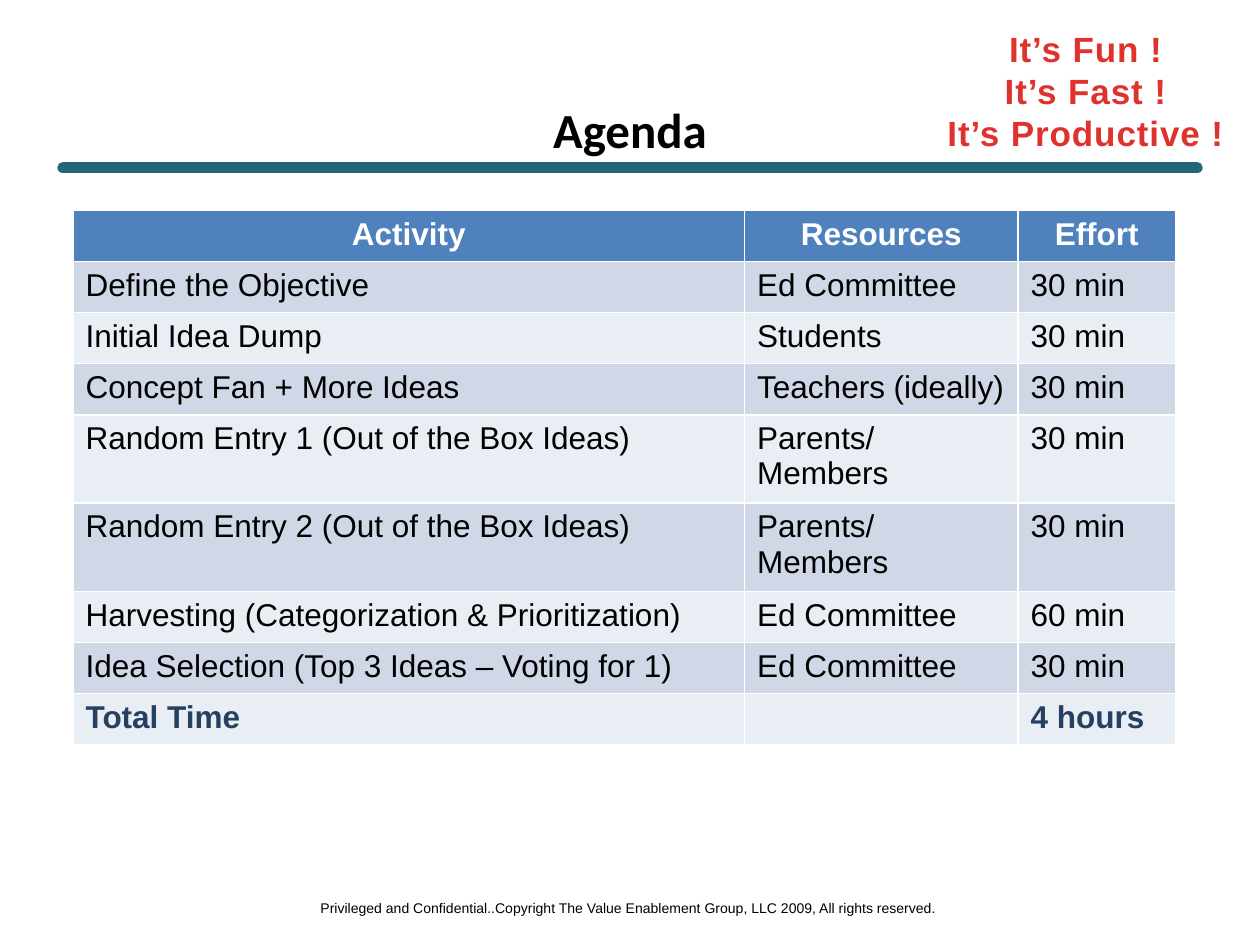
import pptx
import pptx.dml.color
import pptx.enum.shapes
import pptx.enum.text
import pptx.oxml
import pptx.oxml.ns
import pptx.util
from pptx.util import Inches

ALIGN = pptx.enum.text.PP_ALIGN
ANCHOR = pptx.enum.text.MSO_ANCHOR

HEADER = ("Activity", "Resources", "Effort")
AGENDA = [
    ("Define the Objective", "Ed Committee", "30 min"),
    ("Initial Idea Dump", "Students", "30 min"),
    ("Concept Fan + More Ideas", "Teachers (ideally)", "30 min"),
    ("Random Entry 1 (Out of the Box Ideas)", "Parents/Members", "30 min"),
    ("Random Entry 2 (Out of the Box Ideas)", "Parents/Members", "30 min"),
    ("Harvesting (Categorization & Prioritization)", "Ed Committee", "60 min"),
    ("Idea Selection (Top 3 Ideas – Voting for 1)", "Ed Committee", "30 min"),
]
TOTAL = ("Total Time", "", "4 hours")
COL_WIDTHS = (5.33, 2.17, 1.25)


def rgb(color):
    return pptx.dml.color.RGBColor.from_string(color)


def write(p, text, size, color, bold=False, font="Arial", align=ALIGN.CENTER, spacing=None):
    p.alignment = align
    r = p.add_run()
    r.text = text
    for name, value in {"size": pptx.util.Pt(size), "bold": bold, "name": font}.items():
        setattr(r.font, name, value)
    r.font.color.rgb = rgb(color)
    if spacing:
        r.font._element.set("spc", str(int(spacing * 100)))


def add_text(s, box, lines, wrap=False, anchor=ANCHOR.TOP, **style):
    tf = s.shapes.add_textbox(*map(Inches, box)).text_frame
    tf.word_wrap = wrap
    tf.vertical_anchor = anchor
    for i, line in enumerate(lines):
        p = tf.add_paragraph() if i else tf.paragraphs[0]
        write(p, line, **style)


def add_rule(s, left, top, width):
    """Thick round-ended line under the title."""
    sp = s.shapes.add_connector(
        pptx.enum.shapes.MSO_CONNECTOR.STRAIGHT,
        Inches(left), Inches(top), Inches(left + width), Inches(top))
    sp.line.color.rgb = rgb("216778")
    sp.line.width = pptx.util.Pt(6.5)
    sp.line._get_or_add_ln().set("cap", "rnd")
    sp._element.spPr.append(pptx.oxml.parse_xml(
        f"<a:effectLst {pptx.oxml.ns.nsdecls('a')}/>"))


def add_agenda(s, box):
    """Agenda table: header, banded activities, total."""
    rows = [HEADER, *AGENDA, TOTAL]
    table = s.shapes.add_table(len(rows), len(HEADER), *map(Inches, box)).table
    for col, width in zip(table.columns, COL_WIDTHS):
        col.width = Inches(width)
    for i, values in enumerate(rows):
        table.rows[i].height = Inches(box[3] / len(rows))
        fill = "D0D8E8" if i % 2 else "E9EDF4"
        style = {"color": "000000", "align": ALIGN.LEFT}
        if values is HEADER:
            fill = "4F81BD"
            style = {"color": "FFFFFF", "bold": True}
        elif values is TOTAL:
            style.update(color="254061", bold=True)
        for cell, text in zip(table.rows[i].cells, values):
            cell.fill.solid()
            cell.fill.fore_color.rgb = rgb(fill)
            if text:
                write(cell.text_frame.paragraphs[0], text, 18, **style)
            else:
                cell.text_frame.paragraphs[0].font.size = pptx.util.Pt(18)


def main():
    prs = pptx.Presentation()
    prs.slide_width, prs.slide_height = Inches(10), Inches(7.5)
    s = prs.slides.add_slide(prs.slide_layouts[6])

    # Rule and footer
    add_rule(s, 0.5, 1.33, 9)
    add_text(s, (2.41, 7.09, 5.16, 0.24),
             ["Privileged and Confidential..Copyright The Value Enablement Group, LLC 2009, "
              "All rights reserved."],
             size=8, color="000000")

    # Title and slogan
    add_text(s, (0.5, 0.83, 9, 0.38), ["Agenda"], wrap=True, anchor=ANCHOR.MIDDLE,
             size=28, color="000000", bold=True, font="Calibri")
    add_text(s, (7.41, 0.17, 2.41, 1.11),
             ["It’s Fun !", "It’s Fast !", "It’s Productive !"],
             size=20, color="E0322D", bold=True, spacing=0.5)

    add_agenda(s, (0.58, 1.67, 8.75, 3.65))
    prs.save("out.pptx")


if __name__ == "__main__":
    main()
